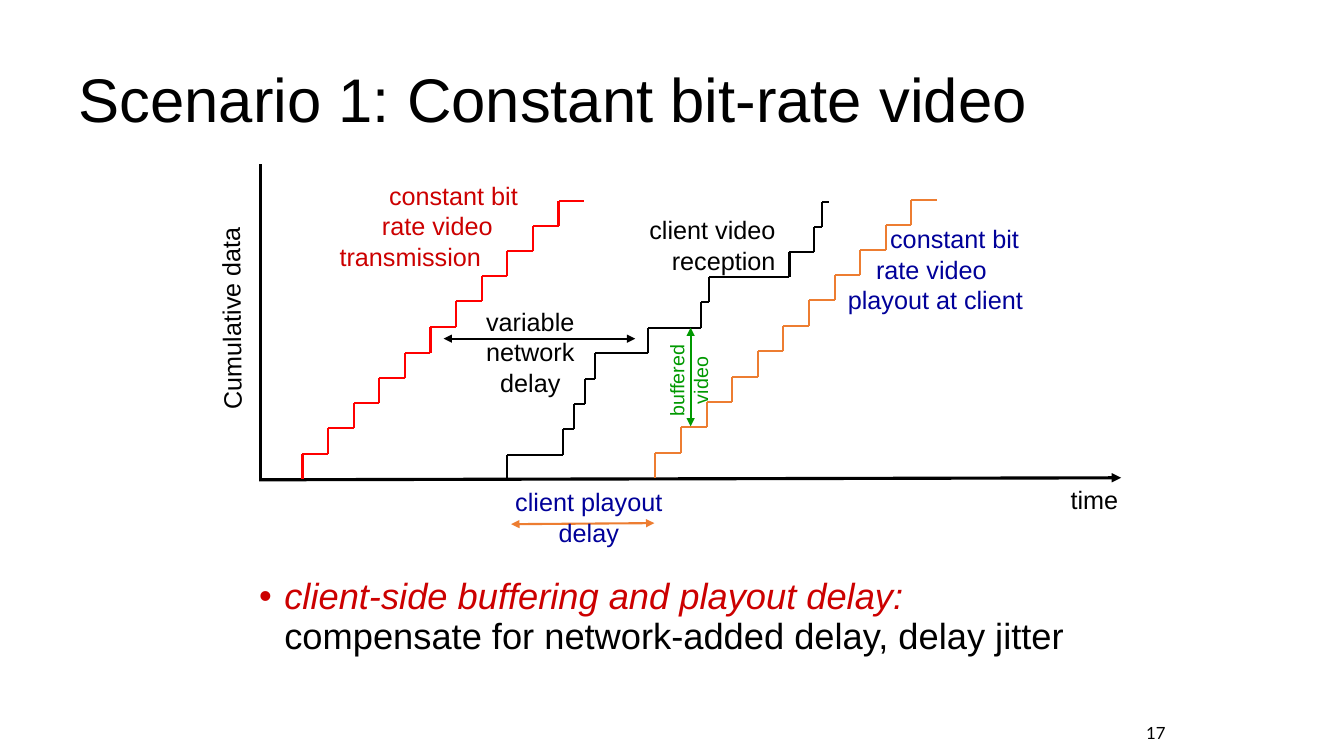
from lxml import etree
from pptx import Presentation
from pptx import util as u
from pptx.dml.color import RGBColor
from pptx.enum import shapes, text
from pptx.oxml.ns import qn

PX = 9144
COLOURS = {
    "black": "000000",
    "red": "FF0000",
    "crimson": "CC0000",
    "orange": "ED7D31",
    "navy": "000099",
    "green": "009900",
}
LEFT, CENTRE, RIGHT = text.PP_ALIGN.LEFT, text.PP_ALIGN.CENTER, text.PP_ALIGN.RIGHT

deck = Presentation()
deck.slide_width, deck.slide_height = 1333 * PX, 750 * PX
page = deck.slides.add_slide(deck.slide_layouts[1])


def draw_line(x1, y1, x2, y2, colour, weight=1.5, arrows=()):
    line = page.shapes.add_connector(
        shapes.MSO_CONNECTOR.STRAIGHT, x1 * PX, y1 * PX, x2 * PX, y2 * PX
    )
    line.line.color.rgb = RGBColor.from_string(COLOURS[colour])
    line.line.width = u.Pt(weight)
    for end in arrows:
        etree.SubElement(line.line._get_or_add_ln(), qn(f"a:{end}"), type="triangle")
    etree.SubElement(line._element.spPr, qn("a:effectLst"))


def style(span, size, colour, font="Arial"):
    span.font.name = font
    span.font.size = u.Pt(size)
    span.font.color.rgb = RGBColor.from_string(COLOURS[colour])


draw_line(258, 163, 258, 475, "black", 2.25)
draw_line(1112, 474, 257, 476, "black", 2.25, ["headEnd"])

steps = range(12)
staircases = [
    ([round(300 + 25.4 * step) for step in steps], 475, "red"),
    ([503, 558, 569, 580, 590, 643, 695, 703, 783, 807, 815, 822], 476, "black"),
    ([round(650 + 25.4 * step) for step in steps], 474, "orange"),
]
for risers, floor, colour in staircases:
    for step, (start, end) in enumerate(zip(risers, risers[1:])):
        bottom = round(floor - 25.1 * step)
        top = round(floor - 25.1 * (step + 1))
        draw_line(start, top, start, bottom, colour)
        draw_line(end, top, start, top, colour)

for x1, y1, x2, y2, colour in [
    (440, 336, 630, 336, "black"),
    (507, 520, 649, 519, "orange"),
    (685, 423, 685, 325, "green"),
]:
    draw_line(x1, y1, x2, y2, colour, arrows=["headEnd", "tailEnd"])

labels = [
    ("constant bit\nrate video\ntransmission", (327, 174, 204, 101), 18, "crimson", LEFT, True, 0, (49, 42, 0)),
    ("Cumulative data", (122, 289, 214, 40), 18, "black", LEFT, True, 269.4, (0,)),
    ("time", (1052, 476, 68, 40), 18, "black", LEFT, False, 0, (0,)),
    ("variable\nnetwork\ndelay", (471, 299, 110, 101), 18, "black", CENTRE, False, 0, (0, 0, 0)),
    ("client video\nreception", (632, 208, 147, 71), 18, "black", RIGHT, False, 0, (0, 0)),
    ("constant bit\nrate video\nplayout at client", (824, 217, 209, 101), 18, "navy", LEFT, True, 0, (49, 35, 7)),
    ("client playout\ndelay", (492, 478, 184, 70), 18, "navy", CENTRE, True, 0, (0, 0)),
    ("buffered\nvideo", (637, 349, 92, 57), 14, "green", CENTRE, False, 270, (0, 0)),
]
for wording, place, size, colour, align, wrap, turn, indents in labels:
    box = page.shapes.add_textbox(*(length * PX for length in place))
    box.rotation = turn
    box.text_frame.word_wrap = wrap
    box.text_frame.text = wording
    for para, indent in zip(box.text_frame.paragraphs, indents):
        para.alignment = align
        if indent:
            para._p.get_or_add_pPr().set("marL", str(indent * PX))
        style(para.runs[0], size, colour)

body = page.placeholders[1]
body.left, body.top, body.width, body.height = 247 * PX, 569 * PX, 850 * PX, 97 * PX
body.text_frame.auto_size = text.MSO_AUTO_SIZE.NONE
para = body.text_frame.paragraphs[0]
properties = para._p.get_or_add_pPr()
properties.set("marL", str(25 * PX))
properties.set("indent", str(-25 * PX))
etree.SubElement(properties, qn("a:buChar"), char="•")
para.line_spacing = 0.9
para.space_before = u.Pt(0)
for wording, colour, italic in [
    ("client-side buffering and playout delay: ", "crimson", True),
    ("compensate for network-added delay, delay jitter", "black", False),
]:
    span = para.add_run()
    span.text = wording
    span.font.italic = italic
    style(span, 25.9, colour)

title = page.shapes.title
title.left, title.top, title.width, title.height = 68 * PX, 33 * PX, 1141 * PX, 137 * PX
title.text_frame.text = "Scenario 1: Constant bit-rate video"
title.text_frame.auto_size = text.MSO_AUTO_SIZE.NONE
title.text_frame.vertical_anchor = text.MSO_ANCHOR.MIDDLE
heading = title.text_frame.paragraphs[0]
heading.alignment = LEFT
heading.line_spacing = 0.9
style(heading.runs[0], 44, "black")

number = page.shapes.add_textbox(1091 * PX, 712 * PX, 75 * PX, 30 * PX)
number.text_frame.word_wrap = True
number.text_frame.vertical_anchor = text.MSO_ANCHOR.MIDDLE
number.text_frame.text = "17"
number.text_frame.paragraphs[0].alignment = RIGHT
style(number.text_frame.paragraphs[0].runs[0], 12, "black", "Lato")

deck.save("out.pptx")
